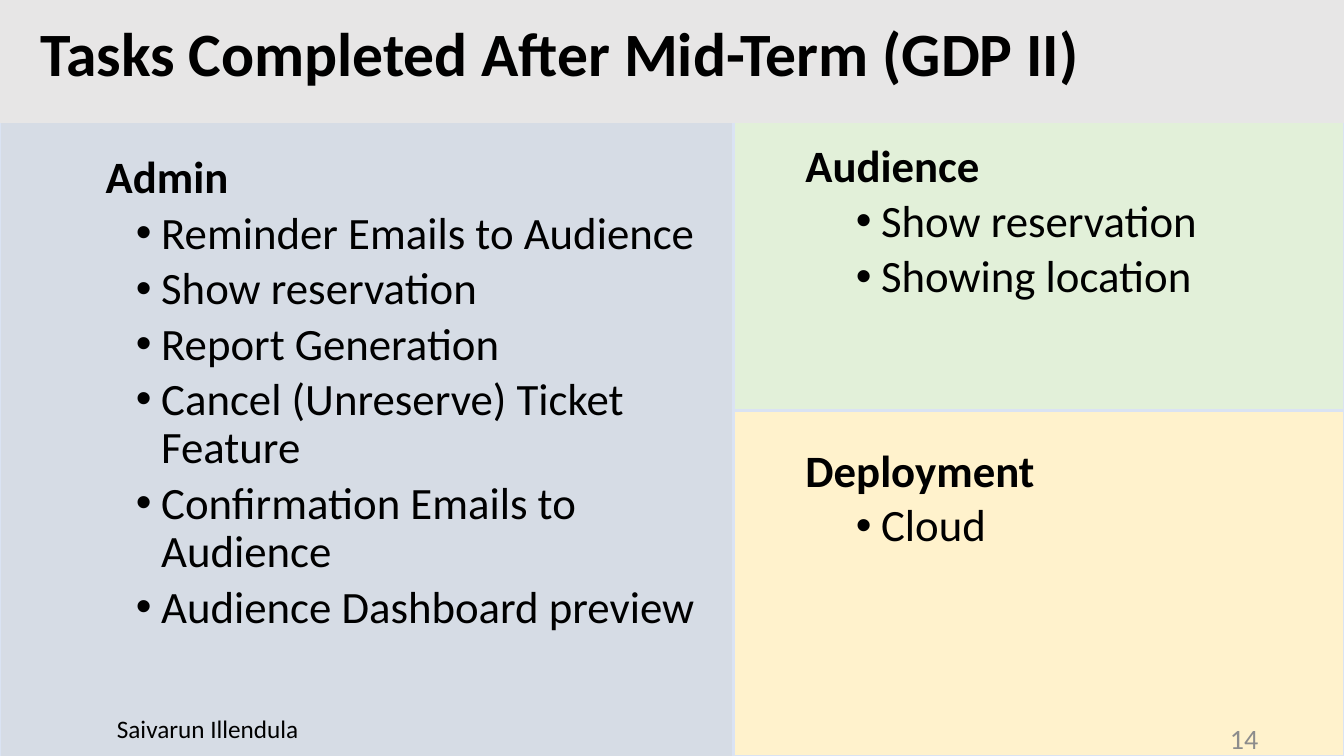
from dataclasses import dataclass

from lxml.etree import SubElement
from pptx import Presentation
from pptx.dml.color import RGBColor
from pptx.enum.shapes import MSO_SHAPE as Preset
from pptx.enum.text import MSO_ANCHOR as Anchor, MSO_AUTO_SIZE as AutoSize, PP_ALIGN as Align
from pptx.oxml.ns import qn
from pptx.util import Pt

PX = 9144  # EMU per px, 100 px to the inch


@dataclass(frozen=True)
class Theme:
    font: str = "Calibri"
    text: str = "000000"
    number: str = "8C8C8C"
    border: str = "DAE3F3"
    header: str = "E7E6E6"
    admin: str = "D6DCE5"
    audience: str = "E2F0D9"
    deployment: str = "FFF2CC"
    title_size: int = 44
    body_size: int = 32
    number_size: int = 20
    name_size: int = 18


theme = Theme()

presentation = Presentation()
presentation.slide_width, presentation.slide_height = 1333 * PX, 750 * PX
slide = presentation.slides.add_slide(presentation.slide_layouts[5])


def add_panel(box, fill, border=None):
    shape = slide.shapes.add_shape(Preset.RECTANGLE, *(n * PX for n in box))
    shape.shadow.inherit = False
    shape.fill.solid()
    shape.fill.fore_color.rgb = RGBColor.from_string(fill)
    if border:
        shape.line.color.rgb = RGBColor.from_string(border)
        shape.line.width = Pt(1)
    else:
        shape.line.fill.background()


def add_run(paragraph, text, size, bold=False, color=theme.text):
    run = paragraph.add_run()
    run.text = text
    run.font.name, run.font.size, run.font.bold = theme.font, Pt(size), bold
    run.font.color.rgb = RGBColor.from_string(color)


# Background panels and header band
add_panel((728, 0, 605, 407), theme.audience, theme.border)
add_panel((0, 0, 727, 757), theme.admin, theme.border)
add_panel((728, 408, 605, 342), theme.deployment, theme.border)
add_panel((-9, -6, 1359, 128), theme.header)

# Title, brought in front of the header band
title = slide.shapes.title
slide.shapes._spTree.append(title._element)
title.left, title.top, title.width, title.height = (n * PX for n in (30, 10, 1156, 97))
title.text_frame.word_wrap = True
title.text_frame.auto_size = AutoSize.NONE
title.text_frame.vertical_anchor = Anchor.TOP
title.text_frame.paragraphs[0].alignment = Align.LEFT
add_run(title.text_frame.paragraphs[0], "Tasks Completed After Mid-Term (GDP II)",
        theme.title_size, bold=True)

# Task lists: box, heading indent, heading line spacing, heading, tasks
task_lists = [
    ((75, 149, 662, 574), 20, 0.9, "Admin", [
        "Reminder Emails to Audience",
        "Show reservation",
        "Report Generation",
        "Cancel (Unreserve) Ticket Feature",
        "Confirmation Emails to Audience",
        "Audience Dashboard preview",
    ]),
    ((789, 132, 606, 175), 0, 1.0, "Audience", ["Show reservation", "Showing location"]),
    ((789, 434, 606, 119), 0, 1.0, "Deployment", ["Cloud"]),
]
for box, indent, spacing, heading, tasks in task_lists:
    frame = slide.shapes.add_textbox(*(n * PX for n in box)).text_frame
    frame.word_wrap = True
    paragraph = frame.paragraphs[0]
    paragraph.line_spacing = spacing
    paragraph._p.get_or_add_pPr().set("marL", str(indent * PX))
    add_run(paragraph, heading, theme.body_size, bold=True)
    for task in tasks:
        paragraph = frame.add_paragraph()
        paragraph.level = 1
        paragraph.line_spacing = 0.9
        paragraph.space_before = Pt(5)
        properties = paragraph._p.get_or_add_pPr()
        properties.set("marL", str(75 * PX))
        properties.set("indent", str(-25 * PX))
        SubElement(properties, qn("a:buFont")).set("typeface", "Arial")
        SubElement(properties, qn("a:buChar")).set("char", "•")
        add_run(paragraph, task, theme.body_size)

# Presenter name and slide number
footers = [
    ((56, 703, 300, 40), Align.CENTER, Anchor.TOP, "Saivarun Illendula",
     theme.name_size, theme.text),
    ((958, 712, 300, 40), Align.RIGHT, Anchor.MIDDLE, "14",
     theme.number_size, theme.number),
]
for box, alignment, anchor, text, size, color in footers:
    frame = slide.shapes.add_textbox(*(n * PX for n in box)).text_frame
    frame.word_wrap = True
    frame.vertical_anchor = anchor
    frame.paragraphs[0].alignment = alignment
    add_run(frame.paragraphs[0], text, size, color=color)

presentation.save("out.pptx")
